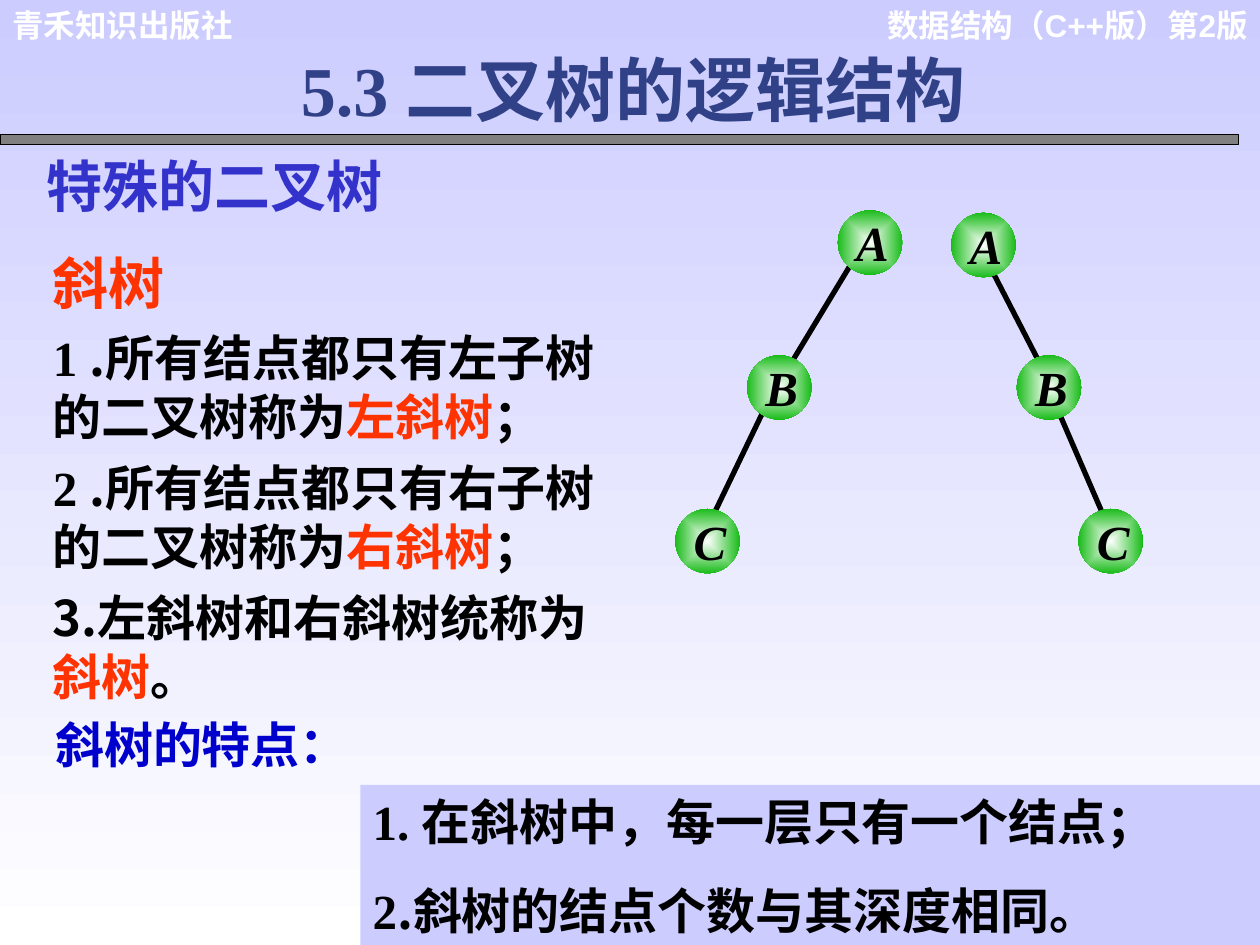
from lxml import etree
from pptx import Presentation, util as u
from pptx.dml.color import RGBColor
from pptx.enum import shapes, text
from pptx.oxml import parse_xml
from pptx.oxml.ns import nsdecls, qn

SERIF, SANS, CJK = "Times New Roman", "Arial", "Noto Sans CJK SC"
BLACK, WHITE, RED, LILAC = "000000", "FFFFFF", "FF3300", "CCCCFF"
NODE_SIZE = 0.51


def color(value):
    """Turn a hex string into a colour."""
    return RGBColor.from_string(value)


def set_gradient(fill, start, end):
    """Give a fill a gradient between two colours."""
    fill.gradient()
    for stop, value, position in zip(fill.gradient_stops, (start, end), (0, 1)):
        stop.color.rgb = color(value)
        stop.position = position


def write(frame, paragraphs, size=28, font=SERIF, ink=BLACK, italic=False,
          align=text.PP_ALIGN.LEFT, space=0, insets=(0.1, 0.05, 0.1, 0.05)):
    """Fill a frame with paragraphs of (text, format overrides) runs."""
    frame.word_wrap = True
    frame.vertical_anchor = text.MSO_ANCHOR.TOP
    (frame.margin_left, frame.margin_top,
     frame.margin_right, frame.margin_bottom) = map(u.Inches, insets)
    for index, runs in enumerate(paragraphs):
        paragraph = frame.add_paragraph() if index else frame.paragraphs[0]
        paragraph.alignment = align
        if index:
            paragraph.space_before = u.Pt(space)
        for words, style in runs:
            run = paragraph.add_run()
            run.text = words
            run.font.size = u.Pt(style.get("size", size))
            run.font.name = style.get("font", font)
            run.font.color.rgb = color(style.get("ink", ink))
            run.font.bold = True
            run.font.italic = italic


def add_text(slide, box, paragraphs, **style):
    """Add a text box; a plain string makes a single paragraph."""
    if isinstance(paragraphs, str):
        paragraphs = [[(paragraphs, {})]]
    frame = slide.shapes.add_textbox(*map(u.Inches, box)).text_frame
    write(frame, paragraphs, **style)


def add_block(slide, box, fill, line=None):
    """Add a flat rectangle."""
    block = slide.shapes.add_shape(shapes.MSO_SHAPE.RECTANGLE, *map(u.Inches, box))
    block.shadow.inherit = False
    block.fill.solid()
    block.fill.fore_color.rgb = color(fill)
    if line:
        block.line.color.rgb = color(line)
        block.line.width = u.Pt(0.75)
    else:
        block.line.fill.background()
    return block


def add_edge(slide, start, end):
    """Add a line between two tree nodes."""
    edge = slide.shapes.add_connector(
        shapes.MSO_CONNECTOR.STRAIGHT, *map(u.Inches, (*start, *end)))
    edge.line.color.rgb = color(BLACK)
    edge.line.width = u.Pt(3)
    etree.SubElement(edge.element.spPr, qn("a:effectLst"))


def add_node(slide, label, left, top):
    """Add a shaded tree node with its letter."""
    ball = slide.shapes.add_shape(
        shapes.MSO_SHAPE.OVAL, *map(u.Inches, (left, top, NODE_SIZE, NODE_SIZE)))
    ball.rotation = 352.6
    ball.shadow.inherit = False
    ball.line.fill.background()
    set_gradient(ball.fill, WHITE, "00B400")
    direction = ball.element.spPr.find(qn("a:gradFill")).find(qn("a:lin"))
    direction.getparent().replace(direction, parse_xml(
        f'<a:path {nsdecls("a")} path="rect">'
        '<a:fillToRect l="50000" t="50000" r="50000" b="50000"/></a:path>'))
    add_text(slide, (left + 0.06, top - 0.04, 0.43, 0.6), label, italic=True,
             align=text.PP_ALIGN.CENTER, insets=(0, 0.06, 0, 0))


def add_tree(slide, nodes, edges):
    """Add a skewed tree, edges behind nodes."""
    for start, end in edges:
        add_edge(slide, start, end)
    for label, position in zip("ABC", nodes):
        add_node(slide, label, *position)


def main():
    """Build the slide on skewed binary trees."""
    deck = Presentation()
    deck.slide_width, deck.slide_height = u.Inches(10), u.Inches(7.5)
    slide = deck.slides.add_slide(deck.slide_layouts[6])
    set_gradient(slide.background.fill, LILAC, WHITE)
    slide.background.fill.gradient_angle = 270

    add_text(slide, (6.89, 0, 3.11, 0.7), "数据结构（C++版）第2版", size=18,
             font=SANS, ink=WHITE, align=text.PP_ALIGN.RIGHT)
    add_text(slide, (0, 0, 2.71, 0.4), "青禾知识出版社", size=18, font=SANS, ink=WHITE)
    add_block(slide, (0, 1.07, 9.83, 0.08), "808080", line=BLACK)
    add_text(slide, (2.29, 0.32, 6.38, 0.77), "5.3 二叉树的逻辑结构", size=40,
             ink="314187", align=text.PP_ALIGN.JUSTIFY)
    add_text(slide, (0.27, 1.15, 4.33, 0.64), "特殊的二叉树", size=32, ink="3333CC")

    cjk, red = {"font": CJK}, {"font": CJK, "ink": RED}
    add_text(slide, (0.42, 1.92, 4.35, 3.73), [
        [("斜树", {"size": 32, "ink": RED})],
        [("1 ", {}), (".所", cjk), ("有结点都只有左子树的二叉树称为", {}),
         ("左斜树", {"ink": RED}), ("；", {})],
        [("2 ", {}), (".", cjk), ("所有结点都只", {}), ("有右子树的二叉树称为", cjk),
         ("右斜树", red), ("；", cjk)],
        [("3.左斜树和右斜树统称为", cjk), ("斜树", red), ("。", cjk)],
    ], space=7, insets=(0, 0.05, 0, 0.05))

    add_text(slide, (0.34, 5.62, 4.17, 0.57), "斜树的特点：", ink="0000CC")
    features = add_block(slide, (2.86, 6.23, 7.14, 1.28), LILAC)
    write(features.text_frame, [
        [("1. ", {}), ("在斜树中，每一层只有一个结点；", cjk)],
        [("2", {}), (".斜树的结点个数与其深度相同。", cjk)],
    ], space=17.5)

    add_tree(slide, [(6.65, 1.67), (5.93, 2.82), (5.36, 4.04)],
             [((6.74, 2.12), (6.28, 2.88)), ((6.05, 3.28), (5.68, 4.05))])
    add_tree(slide, [(7.55, 1.69), (8.07, 2.82), (8.56, 4.04)],
             [((7.89, 2.18), (8.23, 2.84)), ((8.42, 3.31), (8.77, 4.12))])
    deck.save("out.pptx")


if __name__ == "__main__":
    main()
